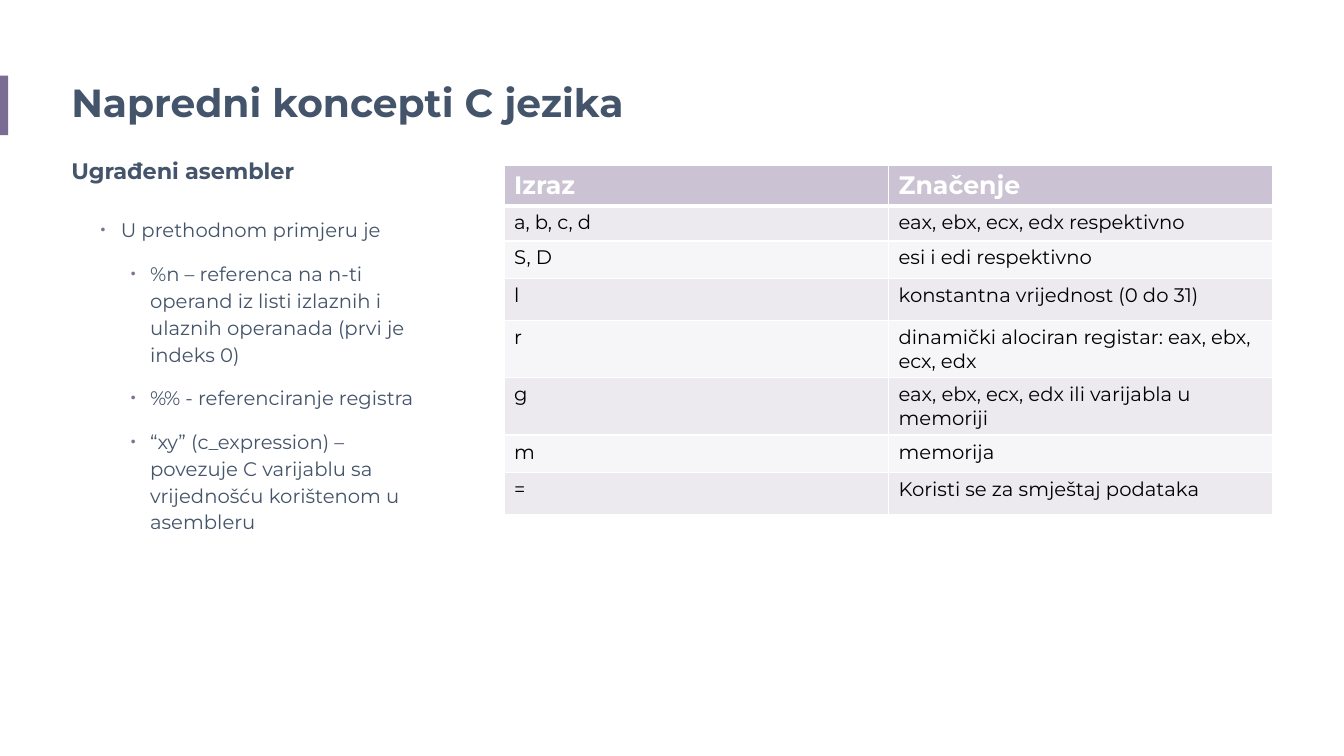
from lxml import etree
from pptx import Presentation
from pptx.dml.color import RGBColor
from pptx.enum import shapes, text
from pptx.oxml import ns
from pptx.util import Pt

# Content
TITLE = "Napredni koncepti C jezika"
SUBTITLE = "Ugrađeni asembler"
BULLETS = [
    (1, "U prethodnom primjeru je"),
    (2, "%n – referenca na n-ti operand iz listi izlaznih i ulaznih operanada (prvi je indeks 0)"),
    (2, "%% - referenciranje registra"),
    (2, "“xy” (c_expression) – povezuje C varijablu sa vrijednošću korištenom u asembleru"),
]
ROWS = [  # height, expression, meaning
    (26.6, "Izraz", "Značenje"),
    (25.2, "a, b, c, d", "eax, ebx, ecx, edx respektivno"),
    (26.6, "S, D", "esi i edi respektivno"),
    (30.2, "l", "konstantna vrijednost (0 do 31)"),
    (39.6, "r", "dinamički alociran registar: eax, ebx, ecx, edx"),
    (41, "g", "eax, ebx, ecx, edx ili varijabla u memoriji"),
    (26.6, "m", "memorija"),
    (30.2, "=", "Koristi se za smještaj podataka"),
]

# Format values
FONT = "Montserrat"
SLATE, WHITE, BLACK = "44546A", "FFFFFF", "000000"
ACCENT, BULLET_COLOR = "7B6C93", "846E96"
HEADER_FILL, BAND_FILLS = "CBC3D3", ("F6F5F7", "ECE9EF")
INDENTS = {1: (35.3, -14.4), 2: (56.2, -13.7)}
LEFT, BODY_TOP, TABLE_LEFT, TABLE_WIDTH = 43.9, 118.1, 360, 549.4


def color(value):
    return RGBColor.from_string(value)


def add_span(para, words, size, hue, bold=False):
    span = para.add_run()
    span.text = words
    for name, value in {"name": FONT, "size": Pt(size), "bold": bold}.items():
        setattr(span.font, name, value)
    span.font.color.rgb = color(hue)


def add_box(page, left, top, width, height, anchor):
    box = page.shapes.add_textbox(Pt(left), Pt(top), Pt(width), Pt(height))
    box.text_frame.word_wrap = True
    box.text_frame.vertical_anchor = anchor
    return box.text_frame


def add_bullet(para, level):
    props = para._p.get_or_add_pPr()
    margin, indent = INDENTS[level]
    props.set("marL", str(Pt(margin)))
    props.set("indent", str(Pt(indent)))
    hue = etree.SubElement(props, ns.qn("a:buClr"))
    etree.SubElement(hue, ns.qn("a:srgbClr"), val=BULLET_COLOR)
    etree.SubElement(props, ns.qn("a:buSzPct"), val="70000")
    etree.SubElement(props, ns.qn("a:buFont"), typeface="Arial")
    etree.SubElement(props, ns.qn("a:buChar"), char="•")


def set_borders(cell, widths):
    props = cell._tc.get_or_add_tcPr()
    for place, (side, width) in enumerate(widths.items()):
        line = etree.Element(ns.qn("a:ln" + side), w=str(Pt(width)))
        fill = etree.SubElement(line, ns.qn("a:solidFill"))
        etree.SubElement(fill, ns.qn("a:srgbClr"), val=WHITE)
        props.insert(place, line)


def add_heading(page):
    bar = page.shapes.add_shape(shapes.MSO_SHAPE.RECTANGLE, 0, Pt(54), Pt(5.8), Pt(42.5))
    bar.shadow.inherit = False
    bar.fill.solid()
    bar.fill.fore_color.rgb = color(ACCENT)
    bar.line.fill.background()
    frame = add_box(page, LEFT, 56.2, 655.9, 37.4, text.MSO_ANCHOR.MIDDLE)
    frame.paragraphs[0].line_spacing = 0.9
    add_span(frame.paragraphs[0], TITLE, 28, SLATE, True)


def add_body(page):
    frame = add_box(page, LEFT, BODY_TOP, 274.3, 373.7, text.MSO_ANCHOR.TOP)
    frame.paragraphs[0].line_spacing = Pt(10)
    add_span(frame.paragraphs[0], SUBTITLE, 16, SLATE, True)
    for number, (level, words) in enumerate(BULLETS):
        para = frame.add_paragraph()
        add_bullet(para, level)
        spacing = {"level": level, "line_spacing": 1.14, "space_after": Pt(6),
                   "space_before": Pt(6 if number else 22)}
        for name, value in spacing.items():
            setattr(para, name, value)
        add_span(para, words, 14, SLATE)


def add_operand_table(page):
    height = sum(row[0] for row in ROWS)
    table = page.shapes.add_table(len(ROWS), 2, Pt(TABLE_LEFT), Pt(BODY_TOP),
                                  Pt(TABLE_WIDTH), Pt(height)).table
    table.horz_banding = False
    for column in table.columns:
        column.width = Pt(TABLE_WIDTH / 2)
    for index, (row_height, *entries) in enumerate(ROWS):
        header = index == 0
        table.rows[index].height = Pt(row_height)
        for column, words in enumerate(entries):
            cell = table.cell(index, column)
            cell.fill.solid()
            cell.fill.fore_color.rgb = color(HEADER_FILL if header else BAND_FILLS[index % 2])
            set_borders(cell, {"L": 1, "R": 1, "T": 3 if index == 1 else 1,
                               "B": 3 if header else 1})
            add_span(cell.text_frame.paragraphs[0], words, 18 if header else 14,
                     WHITE if header else BLACK, header)


def main():
    deck = Presentation()
    deck.slide_width, deck.slide_height = Pt(960), Pt(540)
    page = deck.slides.add_slide(deck.slide_layouts[6])
    add_heading(page)
    add_body(page)
    add_operand_table(page)
    deck.save("out.pptx")


if __name__ == "__main__":
    main()
